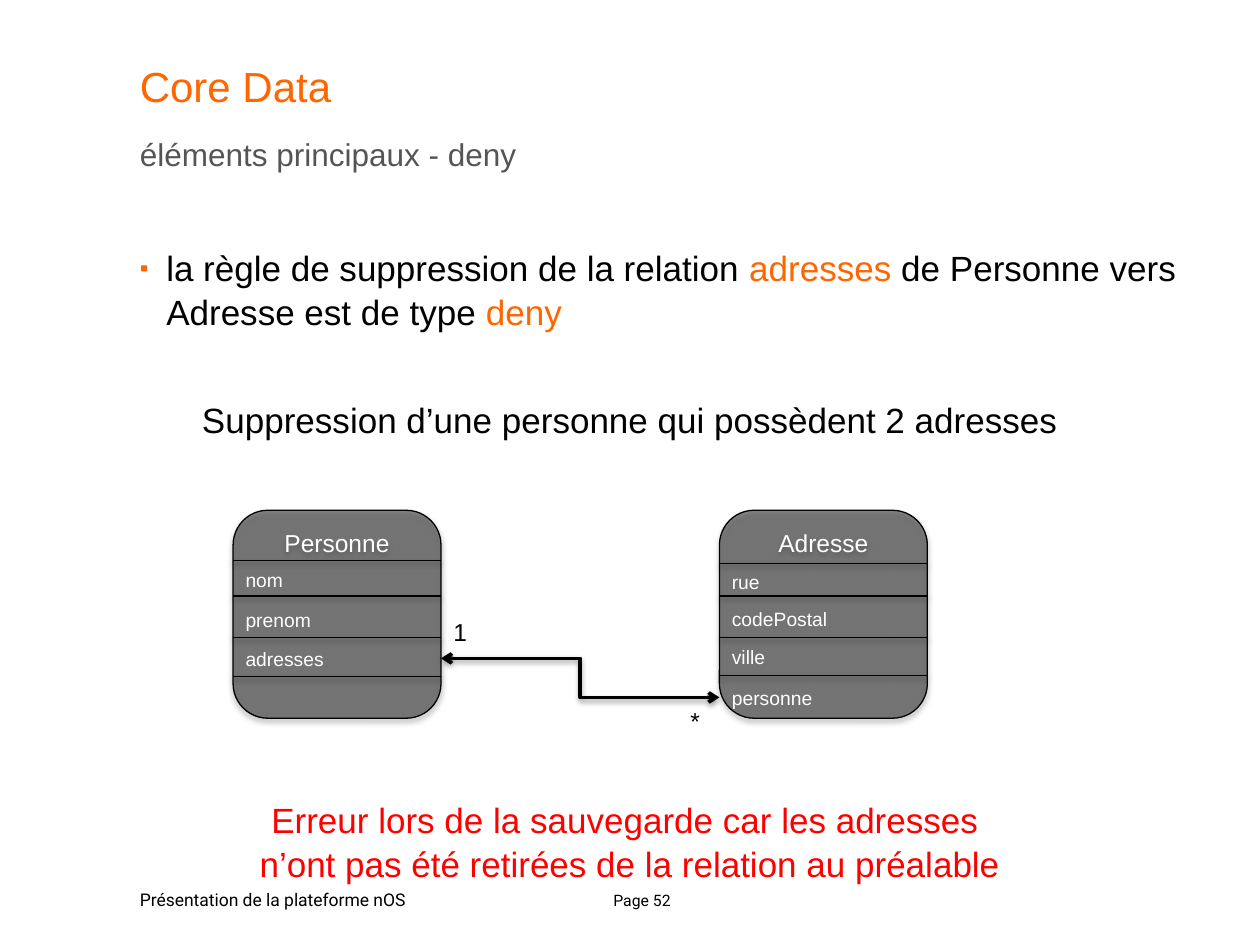
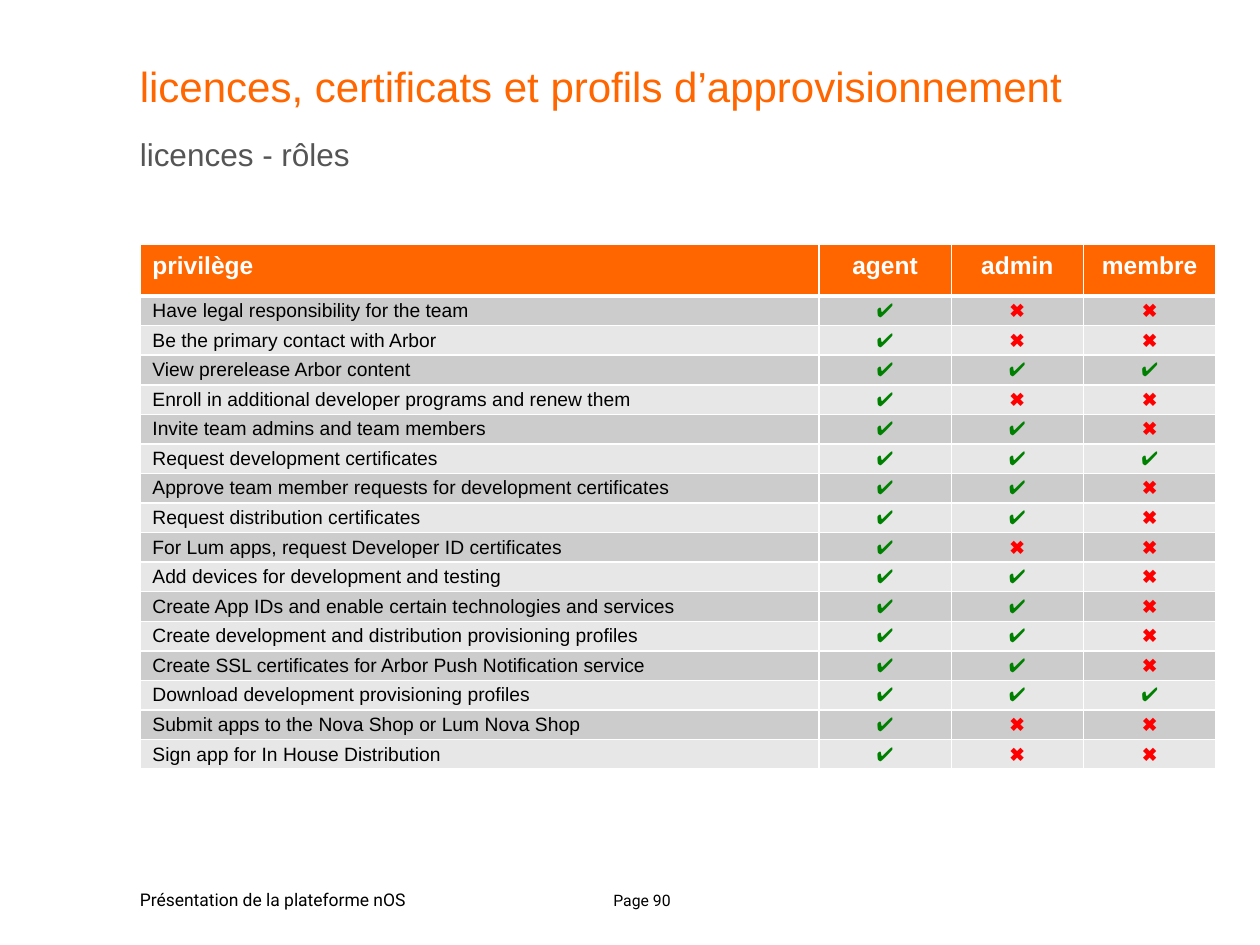
import pptx
import pptx.dml.color
import pptx.enum.shapes
import pptx.enum.text
import pptx.oxml
import pptx.oxml.ns
import pptx.util

PX = 9144  # EMU per px, 100 px to the inch
RGB = pptx.dml.color.RGBColor
ORANGE, GREY, RED = RGB(0xFF, 0x66, 0x00), RGB(0x55, 0x55, 0x55), RGB(0xFF, 0, 0)
BLACK, WHITE, GREEN = RGB(0, 0, 0), RGB(0xFF, 0xFF, 0xFF), RGB(0, 0x80, 0)
BANDS = [RGB(0xCC, 0xCC, 0xCC), RGB(0xE7, 0xE7, 0xE7)]
LEFT, CENTER = pptx.enum.text.PP_ALIGN.LEFT, pptx.enum.text.PP_ALIGN.CENTER
CONNECTOR = pptx.enum.shapes.MSO_CONNECTOR
NS = pptx.oxml.ns.nsdecls("a")
SHADOW = (
    f'<a:effectLst {NS}><a:outerShdw blurRad="40000" dist="%d" dir="5400000" rotWithShape="0">'
    '<a:srgbClr val="000000"><a:alpha val="%d"/></a:srgbClr></a:outerShdw></a:effectLst>'
)
BORDER = f'<a:%s {NS} w="%d"><a:solidFill><a:srgbClr val="FFFFFF"/></a:solidFill></a:%s>'


def write(frame, paragraphs, size, color, align=LEFT, bold=False, font="Arial",
          insets=(10, 5, 10, 5), wrap=True, spacing=1.05):
    """Fill a text frame; each paragraph is a list of (text, colour or None)."""
    frame.word_wrap = wrap
    for side, inset in zip(("left", "top", "right", "bottom"), insets):
        setattr(frame, f"margin_{side}", inset * PX)
    for number, spans in enumerate(paragraphs):
        para = frame.add_paragraph() if number else frame.paragraphs[0]
        para.alignment, para.line_spacing = align, spacing
        for text, tint in spans:
            span = para.add_run()
            span.text = text
            values = {"name": font, "size": pptx.util.Pt(size), "bold": bold}
            for key, value in values.items():
                setattr(span.font, key, value)
            span.font.color.rgb = tint or color


def add_label(slide, box, paragraphs, size, color, **options):
    label = slide.shapes.add_textbox(*[length * PX for length in box])
    write(label.text_frame, paragraphs, size, color, **options)
    return label


deck = pptx.Presentation()
deck.slide_width, deck.slide_height = 1000 * PX, 750 * PX

# Title, subtitle and footer of every slide
pages = []
for title, subtitle, number in [
    ("Core Data", "éléments principaux - deny", 52),
    ("licences, certificats et profils d’approvisionnement", "licences - rôles", 90),
]:
    page = deck.slides.add_slide(deck.slide_layouts[6])
    add_label(page, (469, 702, 81, 24), [[(f"Page {number}", None)]], 9, BLACK,
              align=CENTER, font="Roboto", spacing=1.0)
    add_label(page, (111, 44, 854, 54), [[(title, None)]], 24, ORANGE, insets=(0, 2, 0, 0))
    add_label(page, (111, 701, 272, 24), [[("Présentation de la plateforme nOS", None)]], 10, BLACK,
              font="Roboto", insets=(0, 5, 0, 5), wrap=False, spacing=1.0)
    add_label(page, (111, 106, 854, 33), [[(subtitle, None)]], 18, GREY, insets=(0, 0, 0, 0))
    pages.append(page)
model_page, roles_page = pages

# Deletion rule, with a square bullet
rule = add_label(model_page, (111, 194, 878, 87), [[
    ("la règle de suppression de la relation ", None), ("adresses ", ORANGE),
    ("de Personne vers Adresse est de type ", None), ("deny", ORANGE),
]], 20, BLACK, insets=(0, 0, 0, 0))
properties = rule.text_frame.paragraphs[0]._p.get_or_add_pPr()
properties.set("marL", str(21 * PX))
properties.set("indent", str(-21 * PX))
for bullet in (
    f'<a:buClr {NS}><a:srgbClr val="{ORANGE}"/></a:buClr>',
    f'<a:buSzPct {NS} val="70000"/>',
    f'<a:buFont {NS} typeface="Arial"/>',
    f'<a:buChar {NS} char="▪"/>',
):
    properties.append(pptx.oxml.parse_xml(bullet))

# Entities: name, left, attributes with their tops, separator heights
entities = [
    ("Personne", 185, {"nom": 445, "prenom": 477, "adresses": 508}, (445, 473, 506, 537)),
    ("Adresse", 571, {"rue": 447, "codePostal": 476, "ville": 506, "personne": 539},
     (447, 473, 506, 536)),
]
SIDE = 165
attribute_labels, lines = {}, []
for name, left, attributes, separators in entities:
    entity = model_page.shapes.add_shape(
        pptx.enum.shapes.MSO_SHAPE.ROUNDED_RECTANGLE, left * PX, 405 * PX, SIDE * PX, SIDE * PX)
    entity.fill.solid()
    entity.fill.fore_color.rgb = BLACK
    tint = entity._element.spPr.find(".//" + pptx.oxml.ns.qn("a:srgbClr"))
    tint.append(pptx.oxml.parse_xml(f'<a:alpha {NS} val="46000"/>'))
    entity.line.color.rgb, entity.line.width = BLACK, pptx.util.Pt(0.75)
    entity._element.spPr.append(pptx.oxml.parse_xml(SHADOW % (23000, 35000)))
    entity.text_frame.vertical_anchor = pptx.enum.text.MSO_ANCHOR.TOP
    write(entity.text_frame, [[(name, None)]], 14, WHITE, align=CENTER)
    for height in separators:
        line = model_page.shapes.add_connector(
            CONNECTOR.STRAIGHT, left * PX, height * PX, (left + SIDE) * PX, height * PX)
        line.line.width = pptx.util.Pt(0.75)
        lines.append(line)
    for attribute, top in attributes.items():
        attribute_labels[attribute] = add_label(
            model_page, (left, top, SIDE, 29), [[(attribute, None)]], 11, WHITE)

# Relation between the two entities
relation = model_page.shapes.add_connector(CONNECTOR.ELBOW, 350 * PX, 522 * PX, 571 * PX, 554 * PX)
relation.begin_connect(attribute_labels["adresses"], 3)
relation.end_connect(attribute_labels["personne"], 1)
relation.line.width = pptx.util.Pt(2)
lines.append(relation)
for line in lines:
    line.line.color.rgb = BLACK
    line._element.spPr.append(pptx.oxml.parse_xml(SHADOW % (20000, 38000)))
for end in ("headEnd", "tailEnd"):
    relation.line._get_or_add_ln().append(pptx.oxml.parse_xml(f'<a:{end} {NS} type="arrow"/>'))
for count, box in {"1": (350, 484, 31, 34), "*": (538, 554, 28, 34)}.items():
    add_label(model_page, box, [[(count, None)]], 14, BLACK, wrap=False)

# Case and its outcome
add_label(model_page, (0, 310, 1000, 44),
          [[("Suppression d’une personne qui possèdent 2 adresses", None)]], 20, BLACK, align=CENTER)
add_label(model_page, (0, 627, 1000, 77), [
    [("Erreur lors de la sauvegarde car les adresses ", None)],
    [("n’ont pas été retirées de la relation au préalable", None)],
], 20, RED, align=CENTER)

# Privileges of agent, admin and membre
headings = ["privilège", "agent", "admin", "membre"]
privileges = [
    ("Have legal responsibility for the team", "✔✖✖"),
    ("Be the primary contact with Arbor", "✔✖✖"),
    ("View prerelease Arbor content", "✔✔✔"),
    ("Enroll in additional developer programs and renew them", "✔✖✖"),
    ("Invite team admins and team members", "✔✔✖"),
    ("Request development certificates", "✔✔✔"),
    ("Approve team member requests for development certificates", "✔✔✖"),
    ("Request distribution certificates", "✔✔✖"),
    ("For Lum apps, request Developer ID certificates", "✔✖✖"),
    ("Add devices for development and testing", "✔✔✖"),
    ("Create App IDs and enable certain technologies and services", "✔✔✖"),
    ("Create development and distribution provisioning profiles", "✔✔✖"),
    ("Create SSL certificates for Arbor Push Notification service", "✔✔✖"),
    ("Download development provisioning profiles", "✔✔✔"),
    ("Submit apps to the Nova Shop or Lum Nova Shop", "✔✖✖"),
    ("Sign app for In House Distribution", "✔✖✖"),
]
rows = [headings] + [[privilege, *marks] for privilege, marks in privileges]
MARK_COLORS = {"✔": GREEN, "✖": RED}
table = roles_page.shapes.add_table(
    len(rows), len(headings), 111 * PX, 194 * PX, 854 * PX, 417 * PX).table
table.horz_banding = False
for column, width in zip(table.columns, (539, 105, 105, 105)):
    column.width = width * PX
for row_number, texts in enumerate(rows):
    header = row_number == 0
    table.rows[row_number].height = 41 * PX if header else pptx.util.Inches(0.235)
    for column_number, text in enumerate(texts):
        cell = table.cell(row_number, column_number)
        align = CENTER if column_number else LEFT
        cell.fill.solid()
        if header:
            cell.fill.fore_color.rgb = ORANGE
            write(cell.text_frame, [[(text, None)]], 14, WHITE, align=align, bold=True)
        else:
            cell.fill.fore_color.rgb = BANDS[(row_number - 1) % 2]
            write(cell.text_frame, [[(text, MARK_COLORS.get(text))]], 11, BLACK,
                  align=align, spacing=1.0)
            cell.vertical_anchor = pptx.enum.text.MSO_ANCHOR.MIDDLE
        inset = (5 if header else 0) * PX
        margins = {"margin_left": 10 * PX, "margin_right": 10 * PX,
                   "margin_top": inset, "margin_bottom": inset}
        for key, value in margins.items():
            setattr(cell, key, value)
        widths = {"lnL": 1, "lnR": 1, "lnT": 3 if row_number == 1 else 1, "lnB": 3 if header else 1}
        for position, (edge, points) in enumerate(widths.items()):
            border = pptx.oxml.parse_xml(BORDER % (edge, pptx.util.Pt(points), edge))
            cell._tc.get_or_add_tcPr().insert(position, border)

deck.save("out.pptx")
